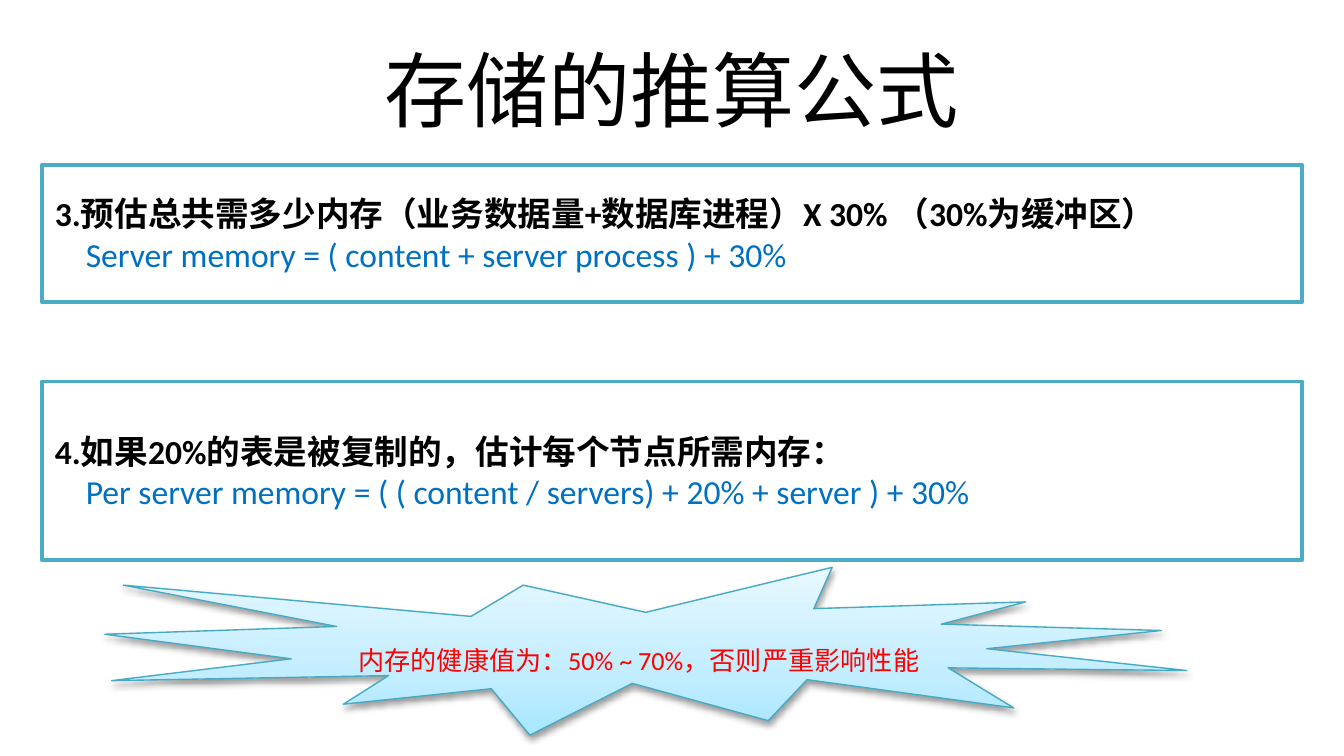
from copy import deepcopy
from dataclasses import dataclass

from lxml import etree
from pptx import Presentation
from pptx import util as u
from pptx.dml.color import RGBColor
from pptx.enum import shapes, text
from pptx.oxml.ns import qn

BLACK = RGBColor(0x00, 0x00, 0x00)
WHITE = RGBColor(0xFF, 0xFF, 0xFF)
RED = RGBColor(0xFF, 0x00, 0x00)
BLUE = RGBColor(0x00, 0x70, 0xC0)
TEAL = RGBColor(0x4B, 0xAC, 0xC6)
BURST_EDGE = RGBColor(0x46, 0xAA, 0xC5)
BURST_STOPS = (
    (0, RGBColor(0xA7, 0xE6, 0xFF)),
    (0.35, RGBColor(0xC1, 0xED, 0xFF)),
    (1, RGBColor(0xE7, 0xF8, 0xFF)),
)
FONT = "Calibri"
WIDTH = u.Inches(10)
HEIGHT = WIDTH * 9 // 16
COLUMN, ROW = WIDTH / 100, HEIGHT / 100


@dataclass(frozen=True)
class Area:
    """A rectangle in hundredths of the slide's width and height."""

    left: float
    top: float
    width: float
    height: float

    def box(self) -> tuple[int, int, int, int]:
        """Return left, top, width and height in EMU."""
        return (round(self.left * COLUMN), round(self.top * ROW),
                round(self.width * COLUMN), round(self.height * ROW))


@dataclass(frozen=True)
class Formula:
    """A framed estimate: a heading and the formula below it."""

    area: Area
    heading: str
    formula: str


FORMULAS = (
    Formula(Area(3.1, 21.85, 93.8, 18.1),
            "3.预估总共需多少内存（业务数据量+数据库进程）X 30% （30%为缓冲区）",
            "Server memory = ( content + server process ) + 30%"),
    Formula(Area(3.1, 50.45, 93.8, 23.65),
            "4.如果20%的表是被复制的，估计每个节点所需内存：",
            "Per server memory = ( ( content / servers) + 20% + server ) + 30%"),
)


def write(p, words: str, size: float, color: RGBColor, align, bold: bool = False) -> None:
    """Fill a paragraph with one formatted run."""
    p.alignment = align
    r = p.add_run()
    r.text = words
    r.font.name, r.font.size, r.font.bold = FONT, u.Pt(size), bold
    r.font.color.rgb = color


def add_title(s, area: Area, words: str) -> None:
    """Place and format the title placeholder."""
    sp = s.shapes.title
    sp.left, sp.top, sp.width, sp.height = area.box()
    tf = sp.text_frame
    tf.vertical_anchor = text.MSO_ANCHOR.MIDDLE
    tf.margin_bottom = u.Inches(0.13)
    write(tf.paragraphs[0], words, 44, BLACK, text.PP_ALIGN.CENTER)


def add_shape(s, kind, area: Area, edge: RGBColor, weight: float):
    """Add a shadowless outlined shape with wrapped text."""
    sp = s.shapes.add_shape(kind, *area.box())
    sp.line.color.rgb = edge
    sp.line.width = u.Pt(weight)
    sp.shadow.inherit = False
    sp.text_frame.word_wrap = True
    return sp


def add_formula(s, item: Formula) -> None:
    """Draw a framed box with a bold heading and an indented formula."""
    sp = add_shape(s, shapes.MSO_SHAPE.RECTANGLE, item.area, TEAL, 2)
    sp.fill.solid()
    sp.fill.fore_color.rgb = WHITE
    tf = sp.text_frame
    tf.vertical_anchor = text.MSO_ANCHOR.MIDDLE
    write(tf.paragraphs[0], item.heading, 18, BLACK, text.PP_ALIGN.LEFT, True)
    p = tf.add_paragraph()
    write(p, item.formula, 18, BLUE, text.PP_ALIGN.LEFT)
    p._p.get_or_add_pPr().set("marL", str(u.Inches(0.23)))


def add_burst(s, area: Area, words: str) -> None:
    """Draw the shaded warning burst with its drop shadow."""
    sp = add_shape(s, shapes.MSO_SHAPE.EXPLOSION1, area, BURST_EDGE, 0.75)
    sp.fill.gradient()
    sp.fill.gradient_angle = 90
    last = sp._element.spPr.find(".//" + qn("a:gsLst"))[-1]
    last.addprevious(deepcopy(last))
    for stop, (position, color) in zip(sp.fill.gradient_stops, BURST_STOPS):
        stop.position, stop.color.rgb = position, color

    effects = sp._element.spPr.find(qn("a:effectLst"))
    shadow = etree.SubElement(effects, qn("a:outerShdw"), blurRad=str(u.Pt(3.1)),
                              dist=str(u.Pt(1.6)), dir="5400000", rotWithShape="0")
    black = etree.SubElement(shadow, qn("a:srgbClr"), val=str(BLACK))
    etree.SubElement(black, qn("a:alpha"), val="38000")

    tf = sp.text_frame
    tf.vertical_anchor = text.MSO_ANCHOR.BOTTOM
    tf.margin_left = tf.margin_right = tf.margin_top = tf.margin_bottom = 0
    write(tf.paragraphs[0], words, 14, RED, text.PP_ALIGN.CENTER)


def main() -> None:
    """Build the memory estimate slide."""
    prs = Presentation()
    prs.slide_width, prs.slide_height = WIDTH, HEIGHT
    s = prs.slides.add_slide(prs.slide_layouts[5])
    add_title(s, Area(5, 4.1, 90, 16.7), "存储的推算公式")
    for item in FORMULAS:
        add_formula(s, item)
    add_burst(s, Area(7.8, 75.05, 80.5, 22.2),
              "内存的健康值为：50% ~ 70%，否则严重影响性能")
    prs.save("out.pptx")


if __name__ == "__main__":
    main()
